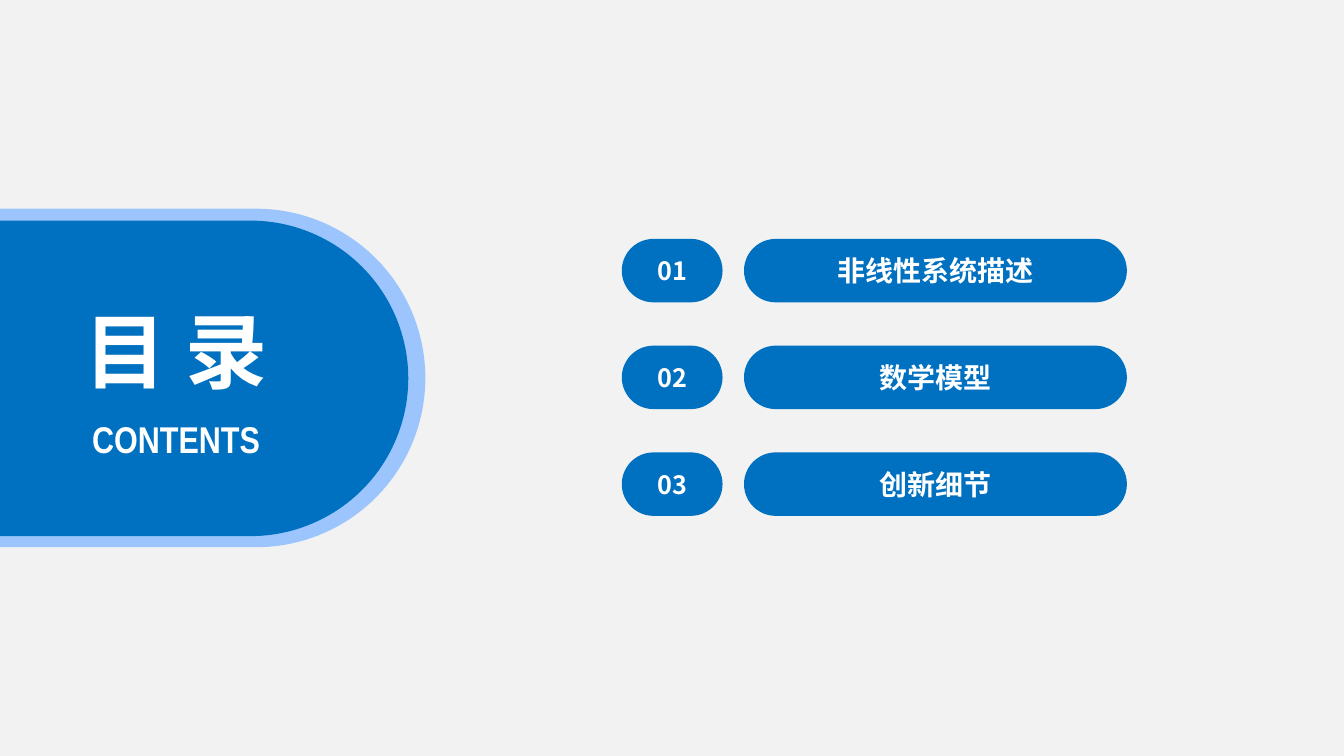
"""Build a contents slide with a rounded title panel and three numbered entries."""
from lxml.etree import SubElement
from pptx import Presentation
from pptx.dml.color import RGBColor
from pptx.enum.shapes import MSO_SHAPE
from pptx.enum.text import MSO_ANCHOR, MSO_AUTO_SIZE, PP_ALIGN
from pptx.oxml.ns import qn
from pptx.util import Cm, Pt

BLUE = RGBColor(0x00, 0x70, 0xC0)
LIGHT_BLUE = RGBColor(0x9C, 0xC5, 0xFD)
GREY = RGBColor(0xF2, 0xF2, 0xF2)
WHITE = RGBColor(0xFF, 0xFF, 0xFF)
CJK = "Noto Sans CJK SC"
ENTRIES = ["非线性系统描述", "数学模型", "创新细节"]


def add_pill(x, y, w, h, color):
    sp = s.shapes.add_shape(MSO_SHAPE.ROUNDED_RECTANGLE, Cm(x), Cm(y), Cm(w), Cm(h))
    sp.adjustments[0] = 0.5
    sp.fill.solid()
    sp.fill.fore_color.rgb = color
    sp.line.fill.background()
    sp.shadow.inherit = False
    return sp


def set_text(sp, text, size, font=CJK):
    p = sp.text_frame.paragraphs[0]
    p.text = text
    p.alignment = PP_ALIGN.CENTER
    p.font.size = Pt(size)
    p.font.bold = True
    p.font.color.rgb = WHITE
    p.font.name = font
    SubElement(p._p.pPr.find(qn("a:defRPr")), qn("a:ea")).set("typeface", font)


prs = Presentation()
prs.slide_width, prs.slide_height = Cm(33.87), Cm(19.05)
s = prs.slides.add_slide(prs.slide_layouts[5])
s.background.fill.solid()
s.background.fill.fore_color.rgb = GREY

add_pill(-4.98, 5.26, 15.7, 8.53, LIGHT_BLUE)
add_pill(-4.32, 5.56, 14.61, 7.95, BLUE)

for i, entry in enumerate(ENTRIES):
    y = 6.02 + 2.69 * i
    set_text(add_pill(15.67, y, 2.54, 1.6, BLUE), f"{i + 1:02}", 18)
    set_text(add_pill(18.75, y, 9.65, 1.6, BLUE), entry, 20)

subtitle = s.shapes.add_textbox(Cm(1.57), Cm(10.36), Cm(5.74), Cm(1.4))
subtitle.text_frame.word_wrap = False
set_text(subtitle, "CONTENTS", 26.6, "Arial Narrow")

title = s.shapes.title
title.left, title.top, title.width, title.height = Cm(1.78), Cm(7.44), Cm(5.31), Cm(2.77)
title.text_frame.word_wrap = False
title.text_frame.auto_size = MSO_AUTO_SIZE.NONE
title.text_frame.vertical_anchor = MSO_ANCHOR.TOP
set_text(title, "目 录", 58.6)
title.element.getparent().append(title.element)

prs.save("out.pptx")
